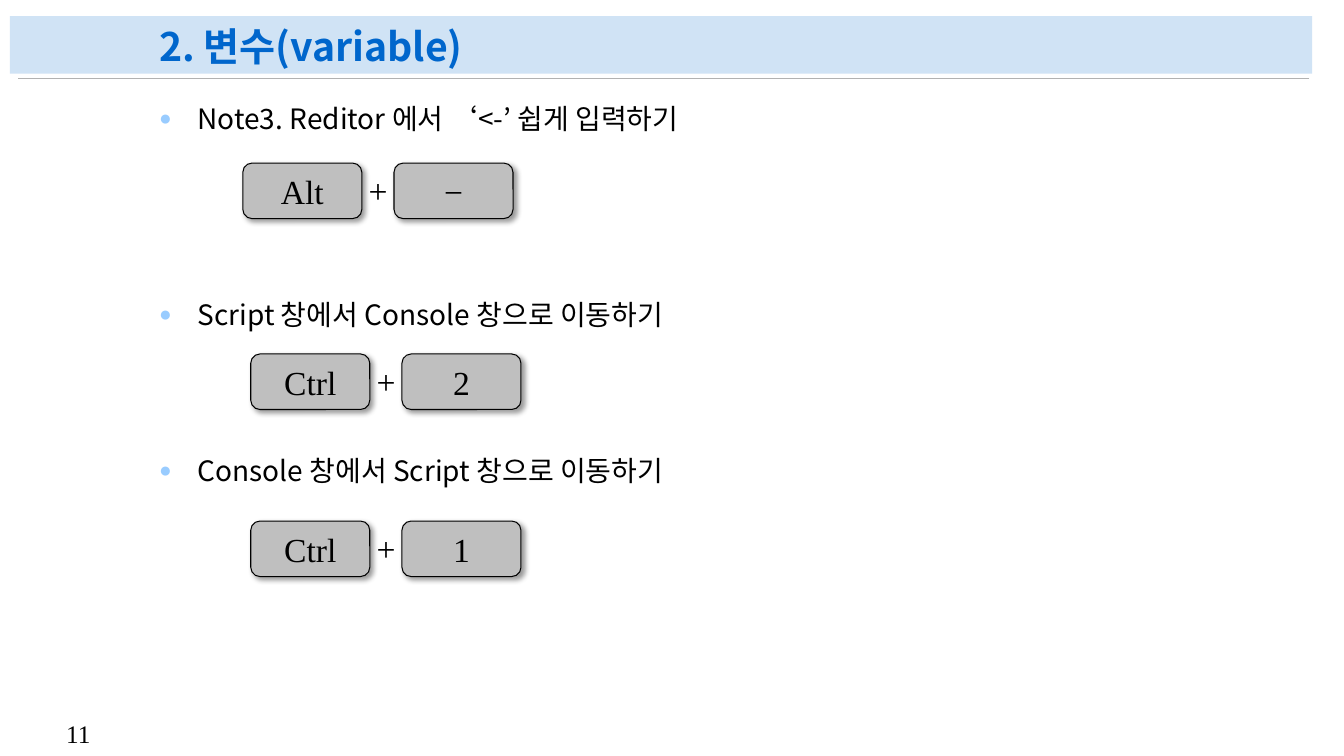
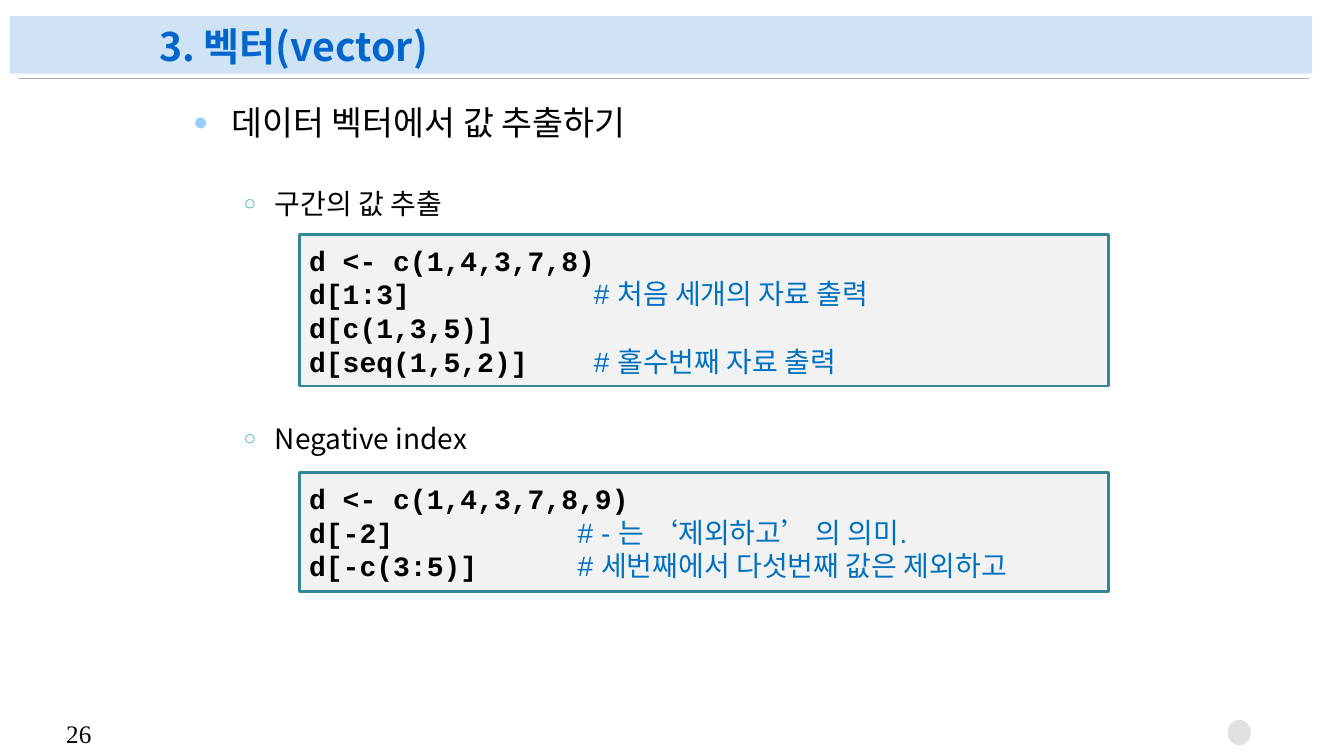
from lxml.etree import SubElement
from pptx import Presentation
from pptx.dml.color import RGBColor
from pptx.enum.shapes import MSO_CONNECTOR as Connector, MSO_SHAPE as Shape
from pptx.enum.text import MSO_ANCHOR as Anchor, PP_ALIGN as Align
from pptx.oxml.ns import qn
from pptx.util import Cm, Pt

BLACK = RGBColor(0x00, 0x00, 0x00)
TITLE_BLUE = RGBColor(0x00, 0x66, 0xCC)
BAND_BLUE = RGBColor(0xD0, 0xE3, 0xF5)
RULE_GRAY = RGBColor(0xB2, 0xB2, 0xB2)
KEY_GRAY = RGBColor(0xBF, 0xBF, 0xBF)
CODE_GRAY = RGBColor(0xF2, 0xF2, 0xF2)
CODE_TEAL = RGBColor(0x35, 0x86, 0x99)
COMMENT_BLUE = RGBColor(0x00, 0x70, 0xC0)
DOT_GRAY = RGBColor(0xE0, 0xE0, 0xE0)

SANS, SERIF, MONO, COMMENT = "Noto Sans CJK KR", "Times New Roman", "Courier New", "Arial"

# Bullet levels: character, colour, left margin and hanging indent in cm
LEVELS = [("●", "99CCFF", 0.97, 0.97), ("○", "47B5CF", 2.06, 0.79)]

# Outline items: level, size, space before in points, text
VARIABLE = {
    "title": "2. 변수(variable)",
    "number": "11",
    "outline_box": (3.76, 2.39, 25.55, 15.29),
    "outline": [
        (0, 20, 0, "Note3. Reditor 에서 ‘<-’ 쉽게 입력하기"),
        (0, 20, 115, "Script 창에서 Console 창으로 이동하기"),
        (0, 20, 87, "Console 창에서 Script 창으로 이동하기"),
    ],
}
# Shortcuts: left, top in cm, then the two keys
SHORTCUTS = [
    (6.12, 4.11, "Alt", "−"),
    (6.32, 8.92, "Ctrl", "2"),
    (6.32, 13.13, "Ctrl", "1"),
]
KEY_WIDTH, KEY_HEIGHT, KEY_STEP = 3, 1.4, 3.81

VECTOR = {
    "title": "3. 벡터(vector)",
    "number": "26",
    "outline_box": (4.62, 2.39, 24.41, 15.29),
    "outline": [
        (0, 24, 0, "데이터 벡터에서 값 추출하기"),
        (1, 20, 31, "구간의 값 추출"),
        (1, 20, 143, "Negative index"),
    ],
}
# Listings: top, height, comment column in cm, then (code, comment) lines
LISTINGS = [
    (5.92, 3.81, 7.18, [
        ("d <- c(1,4,3,7,8)", ""),
        ("d[1:3]", "# 처음 세개의 자료 출력"),
        ("d[c(1,3,5)]", ""),
        ("d[seq(1,5,2)]", "# 홀수번째 자료 출력"),
    ]),
    (11.91, 3, 6.77, [
        ("d <- c(1,4,3,7,8,9)", ""),
        ("d[-2]", "# - 는 ‘제외하고’ 의 의미."),
        ("d[-c(3:5)]", "# 세번째에서 다섯번째 값은 제외하고"),
    ]),
]


def cm_box(*lengths):
    """Turn centimetre numbers into lengths."""
    return [Cm(length) for length in lengths]


def set_font(font, name, size, color=BLACK, bold=False):
    """Set the look of a paragraph or run font."""
    font.name, font.size, font.bold = name, Pt(size), bold
    font.color.rgb = color


def set_east_asian(properties):
    """Use the sans face for Korean characters."""
    latin = properties.find(qn("a:latin"))
    east_asian = properties.makeelement(qn("a:ea"), {"typeface": SANS})
    latin.addnext(east_asian)


def add_text(slide, box, text, name, size, color=BLACK, bold=False, wrap=False):
    """Add a one-paragraph text box and return its text frame."""
    frame = slide.shapes.add_textbox(*cm_box(*box)).text_frame
    frame.word_wrap = wrap
    line = frame.paragraphs[0]
    line.text = text
    set_font(line.font, name, size, color, bold)
    if name == SANS:
        set_east_asian(line._p.pPr.find(qn("a:defRPr")))
    return frame


def add_panel(slide, kind, box, fill, line=None, width=0):
    """Add a filled shape without theme shadow."""
    panel = slide.shapes.add_shape(kind, *cm_box(*box))
    panel.shadow.inherit = False
    panel.fill.solid()
    panel.fill.fore_color.rgb = fill
    if line is None:
        panel.line.fill.background()
    else:
        panel.line.color.rgb = line
        panel.line.width = Pt(width)
    return panel


def add_outline(slide, box, items):
    """Add the bulleted outline of a slide."""
    frame = slide.shapes.add_textbox(*cm_box(*box)).text_frame
    frame.word_wrap = True
    for index, (level, size, gap, text) in enumerate(items):
        item = frame.add_paragraph() if index else frame.paragraphs[0]
        item.text = text
        item.level = level
        mark, color, margin, hanging = LEVELS[level]
        properties = item._p.get_or_add_pPr()
        properties.set("marL", str(Cm(margin)))
        properties.set("indent", str(-Cm(hanging)))
        SubElement(SubElement(properties, qn("a:buClr")), qn("a:srgbClr"), val=color)
        SubElement(properties, qn("a:buSzPct"), val="75000")
        SubElement(properties, qn("a:buFont"), typeface=COMMENT)
        SubElement(properties, qn("a:buChar"), char=mark)
        item.line_spacing = Pt(1.25 * size)
        item.space_before = Pt(gap)
        set_font(item.font, SANS, size)
        set_east_asian(properties.find(qn("a:defRPr")))


def add_base(deck, content):
    """Add a slide with the shared band, rule, number, title and outline."""
    slide = deck.slides.add_slide(deck.slide_layouts[6])
    add_panel(slide, Shape.RECTANGLE, (0.25, 0.41, 32.82, 1.45), BAND_BLUE)
    rule = slide.shapes.add_connector(Connector.STRAIGHT, *cm_box(33, 1.98, 0.46, 1.98))
    rule.line.color.rgb = RULE_GRAY
    rule.line.width = Pt(0.5)
    SubElement(rule._element.spPr, qn("a:effectLst"))
    add_text(slide, (1.42, 17.98, 1.27, 1.02), content["number"], SERIF, 18)
    title = add_text(slide, (3.76, 0.43, 25.55, 1.47), content["title"],
                     SANS, 28, TITLE_BLUE, bold=True, wrap=True)
    title.vertical_anchor = Anchor.BOTTOM
    title.paragraphs[0].line_spacing = 0.9
    add_outline(slide, content["outline_box"], content["outline"])
    return slide


def add_key(slide, left, top, label):
    """Add a keyboard key with a soft drop shadow."""
    key = add_panel(slide, Shape.ROUNDED_RECTANGLE,
                    (left, top, KEY_WIDTH, KEY_HEIGHT), KEY_GRAY, BLACK, 0.75)
    effects = key._element.spPr.find(qn("a:effectLst"))
    shadow = SubElement(effects, qn("a:outerShdw"), blurRad=str(Pt(4)), dist=str(Pt(3)),
                        dir="2700000", algn="tl", rotWithShape="0")
    color = SubElement(shadow, qn("a:srgbClr"), val=str(BLACK))
    SubElement(color, qn("a:alpha"), val="40000")
    frame = key.text_frame
    frame.word_wrap = False
    frame.vertical_anchor = Anchor.MIDDLE
    line = frame.paragraphs[0]
    line.text = label
    line.alignment = Align.CENTER
    set_font(line.font, SERIF, 24)


def add_shortcut(slide, left, top, first, second):
    """Add two keys joined by a plus sign."""
    add_key(slide, left, top, first)
    add_key(slide, left + KEY_STEP, top, second)
    add_text(slide, (left + 2.92, top + 0.05, 0.99, 1.27), "+", SERIF, 24)


def add_listing(slide, top, height, column, lines):
    """Add a code box whose comments start at one tab stop."""
    listing = add_panel(slide, Shape.RECTANGLE, (7.54, top, 20.4, height),
                        CODE_GRAY, CODE_TEAL, 2)
    frame = listing.text_frame
    frame.word_wrap = True
    frame.vertical_anchor = Anchor.MIDDLE
    for index, (code, comment) in enumerate(lines):
        line = frame.add_paragraph() if index else frame.paragraphs[0]
        line.alignment = Align.LEFT
        line.line_spacing = Pt(24)
        if not comment:
            line.text = code
            set_font(line.font, MONO, 20, bold=True)
            continue
        stops = SubElement(line._p.get_or_add_pPr(), qn("a:tabLst"))
        SubElement(stops, qn("a:tab"), pos=str(Cm(column)), algn="l")
        command = line.add_run()
        command.text = code + "\t"
        set_font(command.font, MONO, 20, bold=True)
        remark = line.add_run()
        remark.text = comment
        set_font(remark.font, COMMENT, 20, COMMENT_BLUE)
        set_east_asian(remark._r.rPr)


def main():
    """Build both slides and save them."""
    deck = Presentation()
    deck.slide_width, deck.slide_height = cm_box(33.87, 19.05)

    variable = add_base(deck, VARIABLE)
    for shortcut in SHORTCUTS:
        add_shortcut(variable, *shortcut)

    vector = add_base(deck, VECTOR)
    for listing in LISTINGS:
        add_listing(vector, *listing)
    add_panel(vector, Shape.OVAL, (30.94, 18.14, 0.58, 0.64), DOT_GRAY)

    deck.save("out.pptx")


main()
